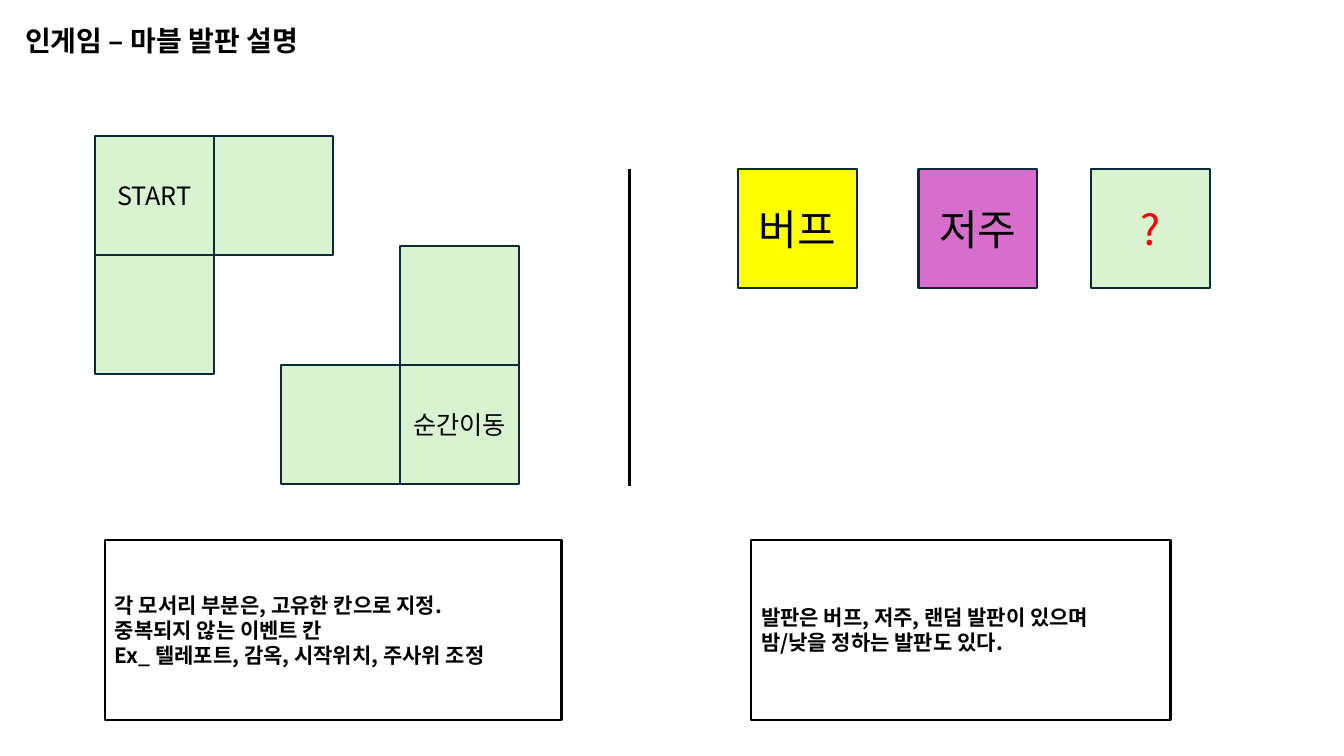
"""Build the slide that explains the marble board tiles."""
from dataclasses import dataclass

from lxml.etree import SubElement
from pptx import Presentation
from pptx.dml.color import RGBColor
from pptx.enum.shapes import MSO_CONNECTOR, MSO_SHAPE
from pptx.enum.text import MSO_ANCHOR, MSO_AUTO_SIZE, PP_ALIGN
from pptx.oxml.ns import qn
from pptx.util import Inches, Pt


@dataclass(frozen=True)
class Theme:
    font: str = "Noto Sans CJK KR"
    ink: str = "000000"
    edge: str = "092A39"
    green: str = "D9F2D0"
    yellow: str = "FFFF00"
    purple: str = "D86ECC"
    red: str = "FF0000"
    title: int = 20
    note: int = 15
    corner: int = 18
    effect: int = 30
    outline: float = 1.5
    divider: float = 2.25


THEME = Theme()
TILE = 1.18
START_X, START_Y = 0.94, 1.35
WARP_X, WARP_Y = 3.97, 3.62
EFFECT_Y = 1.68


@dataclass(frozen=True)
class Tile:
    left: float
    top: float
    text: str = ""
    size: int = THEME.corner
    fill: str = THEME.green
    color: str = THEME.ink
    inset: float = 0.1


@dataclass(frozen=True)
class Note:
    left: float
    width: float
    lines: tuple[str, ...]


TILES = (
    Tile(START_X, START_Y, "START"),
    Tile(START_X + TILE, START_Y),
    Tile(START_X, START_Y + TILE),
    Tile(WARP_X, WARP_Y - TILE),
    Tile(WARP_X - TILE, WARP_Y),
    Tile(WARP_X, WARP_Y, "순간이동", inset=0),
    Tile(7.32, EFFECT_Y, "버프", THEME.effect, THEME.yellow),
    Tile(9.11, EFFECT_Y, "저주", THEME.effect, THEME.purple),
    Tile(10.82, EFFECT_Y, "?", THEME.effect, color=THEME.red),
)
NOTES = (
    Note(1.04, 4.53, (
        "각 모서리 부분은, 고유한 칸으로 지정.",
        "중복되지 않는 이벤트 칸",
        "Ex_ 텔레포트, 감옥, 시작위치, 주사위 조정",
    )),
    Note(7.45, 4.16, (
        "발판은 버프, 저주, 랜덤 발판이 있으며",
        "밤/낮을 정하는 발판도 있다.",
    )),
)


def rgb(color: str) -> RGBColor:
    return RGBColor.from_string(color)


def add_text(sp, lines: tuple[str, ...], size: int, align: PP_ALIGN,
             color: str = THEME.ink, bold: bool = False) -> None:
    tf = sp.text_frame
    tf.word_wrap = True
    tf.auto_size = MSO_AUTO_SIZE.NONE
    tf.vertical_anchor = MSO_ANCHOR.MIDDLE
    p = tf.paragraphs[0]
    p.alignment = align
    for i, line in enumerate(lines):
        if i:
            p.add_line_break()
        r = p.add_run()
        r.text = line
        r.font.size = Pt(size)
        r.font.bold = bold
        r.font.color.rgb = rgb(color)
        r.font.name = THEME.font
        SubElement(r.font._element, qn("a:ea"), typeface=THEME.font)


def add_box(s, left: float, top: float, width: float, height: float, edge: str):
    sp = s.shapes.add_shape(MSO_SHAPE.RECTANGLE, Inches(left), Inches(top),
                            Inches(width), Inches(height))
    sp.shadow.inherit = False
    sp.fill.background()
    sp.line.color.rgb = rgb(edge)
    sp.line.width = Pt(THEME.outline)
    return sp


def add_tile(s, tile: Tile) -> None:
    sp = add_box(s, tile.left, tile.top, TILE, TILE, THEME.edge)
    sp.fill.solid()
    sp.fill.fore_color.rgb = rgb(tile.fill)
    if tile.text:
        sp.text_frame.margin_left = sp.text_frame.margin_right = Inches(tile.inset)
        add_text(sp, (tile.text,), tile.size, PP_ALIGN.CENTER, tile.color)


def add_note(s, note: Note) -> None:
    sp = add_box(s, note.left, 5.36, note.width, 1.78, THEME.ink)
    add_text(sp, note.lines, THEME.note, PP_ALIGN.LEFT, bold=True)


def add_divider(s) -> None:
    line = s.shapes.add_connector(MSO_CONNECTOR.STRAIGHT, Inches(6.24),
                                  Inches(EFFECT_Y), Inches(6.24), Inches(4.82))
    line.line.color.rgb = rgb(THEME.ink)
    line.line.width = Pt(THEME.divider)
    SubElement(line._element.spPr, qn("a:effectLst"))


def add_title(s) -> None:
    sp = s.shapes.title
    sp.left, sp.top = Inches(0.15), Inches(0.17)
    sp.width, sp.height = Inches(4.16), Inches(0.46)
    add_text(sp, ("인게임 – 마블 발판 설명",), THEME.title, PP_ALIGN.LEFT, bold=True)


def main() -> None:
    prs = Presentation()
    prs.slide_width, prs.slide_height = Inches(13.33), Inches(7.5)
    s = prs.slides.add_slide(prs.slide_layouts[5])
    add_title(s)
    for tile in TILES:
        add_tile(s, tile)
    add_divider(s)
    for note in NOTES:
        add_note(s, note)
    prs.save("out.pptx")


if __name__ == "__main__":
    main()
